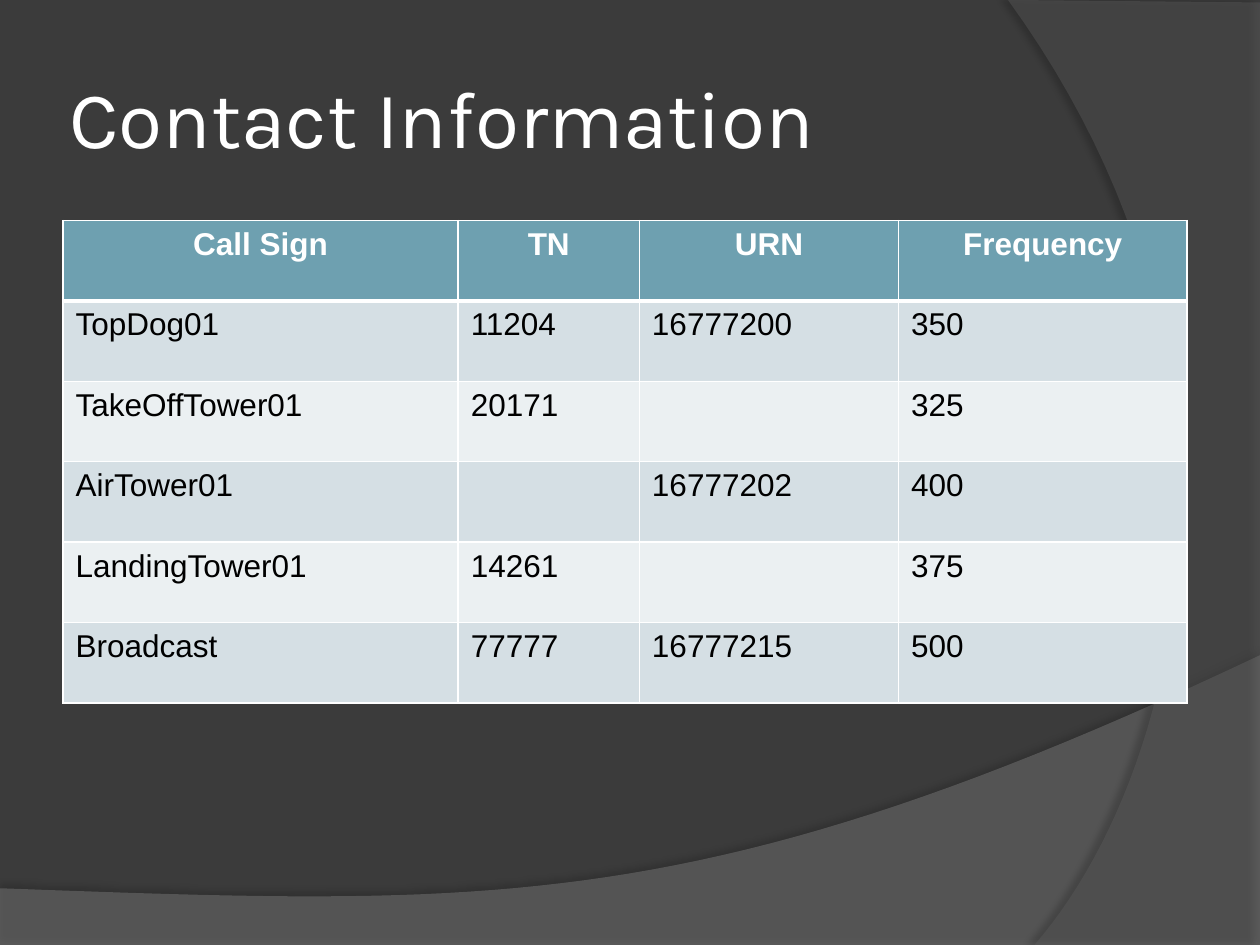
"""Build the contact information slide with its curved backdrop and table."""
import lxml.etree
import pptx
import pptx.dml.color
import pptx.enum.text
import pptx.oxml.ns
import pptx.util

Inches = pptx.util.Inches
ALIGN = pptx.enum.text.PP_ALIGN
COLORS = {
    "page": "3B3B3B", "wave": "7F7F7F", "arc": "5E5E5E", "shadow": "000000",
    "white": "FFFFFF", "black": "000000", "header": "6EA0B0",
    "band_dark": "D5DFE4", "band_light": "EBF0F2",
}
CONTACTS = [
    ("Call Sign", "TN", "URN", "Frequency"),
    ("TopDog01", "11204", "16777200", "350"),
    ("TakeOffTower01", "20171", "", "325"),
    ("AirTower01", "", "16777202", "400"),
    ("LandingTower01", "14261", "", "375"),
    ("Broadcast", "77777", "16777215", "500"),
]
COLUMN_SHARES = (3.14, 1.44, 2.06, 2.29)


def rgb(name):
    """Return the named colour."""
    return pptx.dml.color.RGBColor.from_string(COLORS[name])


def add_xml(parent, tag, **attributes):
    """Append a DrawingML element and return it."""
    values = {key: str(value) for key, value in attributes.items()}
    return lxml.etree.SubElement(parent, pptx.oxml.ns.qn(tag), values)


def write_text(frame, text, size=18, font="Arial", color="black", bold=False, align=ALIGN.LEFT):
    """Write one formatted paragraph into a text frame."""
    para = frame.paragraphs[0]
    para.alignment = align
    span = para.add_run()
    span.text = text
    span.font.size = pptx.util.Pt(size)
    span.font.name = font
    span.font.bold = bold
    span.font.color.rgb = rgb(color)


def curve_points(start, first, second, end, steps=48):
    """Return points along a cubic curve, after its start."""
    points = []
    for step in range(1, steps + 1):
        t = step / steps
        weights = ((1 - t) ** 3, 3 * t * (1 - t) ** 2, 3 * t * t * (1 - t), t ** 3)
        points.append(tuple(
            sum(weight * value for weight, value in zip(weights, axis))
            for axis in zip(start, first, second, end)))
    return points


def add_backdrop(page, box, corners, curve, color, opacity, shadow):
    """Draw a translucent curved area, given relative to its box, behind the title."""
    left, top = box
    points = [(Inches(left + x), Inches(top + y)) for x, y in corners + curve_points(*curve)]
    builder = page.shapes.build_freeform(*points[0], scale=1.0)
    builder.add_line_segments(points[1:], close=True)
    shape = builder.convert_to_shape()
    shape.shadow.inherit = False
    shape.line.fill.background()
    shape.fill.solid()
    shape.fill.fore_color.rgb = rgb(color)
    properties = shape.element.spPr
    fill_color = properties.find(".//" + pptx.oxml.ns.qn("a:srgbClr"))
    add_xml(fill_color, "a:alpha", val=opacity * 1000)
    shadow_opacity, blur, distance, angle = shadow
    effects = properties.find(pptx.oxml.ns.qn("a:effectLst"))
    outer = add_xml(effects, "a:outerShdw", blurRad=int(pptx.util.Pt(blur)),
                    dist=int(pptx.util.Pt(distance)), dir=angle * 60000,
                    algn="ctr", rotWithShape=0)
    shadow_color = add_xml(outer, "a:srgbClr", val=COLORS["shadow"])
    add_xml(shadow_color, "a:alpha", val=shadow_opacity * 1000)
    page.shapes.title.element.addprevious(shape.element)


def add_title(page, box, text):
    """Place and format the title placeholder."""
    title = page.shapes.title
    title.left, title.top, title.width, title.height = map(Inches, box)
    frame = title.text_frame
    frame.word_wrap = True
    frame.vertical_anchor = pptx.enum.text.MSO_ANCHOR.MIDDLE
    frame.margin_left = frame.margin_right = Inches(0.05)
    frame.margin_top = frame.margin_bottom = Inches(0.05)
    write_text(frame, text, size=46, font="Karla", color="white")


def style_cell(cell, fill, bottom_width):
    """Give a cell white borders and a plain fill."""
    properties = cell._tc.get_or_add_tcPr()
    for side, width in (("L", 1), ("R", 1), ("T", 1), ("B", bottom_width)):
        line = add_xml(properties, "a:ln" + side, w=int(pptx.util.Pt(width)))
        add_xml(add_xml(line, "a:solidFill"), "a:srgbClr", val=COLORS["white"])
    cell.fill.solid()
    cell.fill.fore_color.rgb = rgb(fill)


def add_contacts(page, box, rows):
    """Build the banded contact table in its box."""
    left, top, width, height = box
    table = page.shapes.add_table(len(rows), len(rows[0]), *map(Inches, box)).table
    table.horz_banding = False
    for column, share in zip(table.columns, COLUMN_SHARES):
        column.width = Inches(width * share / sum(COLUMN_SHARES))
    for index, values in enumerate(rows):
        table.rows[index].height = Inches(height / len(rows))
        header = index == 0
        fill = "header" if header else ("band_light", "band_dark")[index % 2]
        for cell, value in zip(table.rows[index].cells, values):
            style_cell(cell, fill, 3 if header else 1)
            if value:
                write_text(cell.text_frame, value, bold=header,
                           color="white" if header else "black",
                           align=ALIGN.CENTER if header else ALIGN.LEFT)


def build_contact_page(deck):
    """Add the contact information page."""
    page = deck.slides.add_slide(deck.slide_layouts[5])
    page.background.fill.solid()
    page.background.fill.fore_color.rgb = rgb("page")
    add_backdrop(page, (0, 5.2), [(0, 1.85), (0, 2.31), (10, 2.31), (10, 0)],
                 ((10, 0), (5.59, 2.09), (3.91, 1.99), (0, 1.85)),
                 "wave", 45, (35, 4, 3.5, 270))
    add_backdrop(page, (8, 0), [(2, 0.02), (2, 7.5), (0.21, 7.5)],
                 ((0.21, 7.5), (1.35, 6.19), (2.18, 3), (0, 0)),
                 "arc", 40, (45, 4, 4, 180))
    add_title(page, (0.5, 0.3, 8.17, 1.25), "Contact Information")
    add_contacts(page, (0.5, 1.75, 8.92, 3.83), CONTACTS)


deck = pptx.Presentation()
deck.slide_width = Inches(10)
deck.slide_height = Inches(7.5)
build_contact_page(deck)
deck.save("out.pptx")
